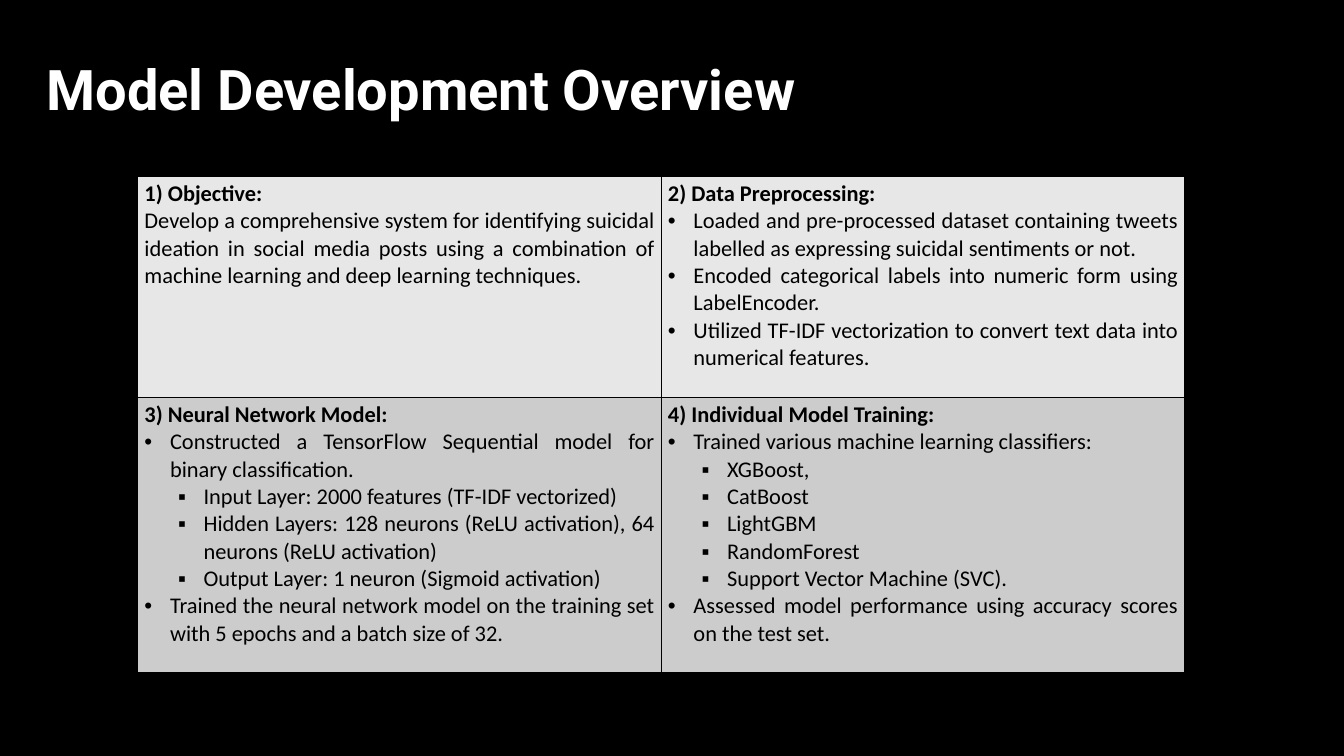
import pptx
import pptx.util
import pptx.dml.color
import pptx.enum.text
import pptx.oxml
import pptx.oxml.ns
from dataclasses import dataclass
from lxml import etree
from pptx.util import Inches


@dataclass(frozen=True)
class Theme:
    black: str = "000000"
    white: str = "FFFFFF"
    row_fills: tuple = ("E7E7E7", "CCCCCC")
    title_font: str = "Roboto"
    body_font: str = "Calibri"
    title_size: int = 60
    body_size: int = 24
    border_width: int = 1


theme = Theme()
rgb = pptx.dml.color.RGBColor.from_string
qn = pptx.oxml.ns.qn
PP_ALIGN = pptx.enum.text.PP_ALIGN


def format_run(r, font, size, color, bold):
    r.font.name = font
    r.font.size = pptx.util.Pt(size)
    r.font.color.rgb = rgb(color)
    r.font.bold = bold


def add_bullet(p, level):
    p.level = level
    pPr = p._p.get_or_add_pPr()
    pPr.set("marL", str(Inches(0.38 + 0.5 * level)))
    pPr.set("indent", str(Inches(-0.38)))
    etree.SubElement(pPr, qn("a:buFont"), typeface="Arial")
    etree.SubElement(pPr, qn("a:buChar"), char="•▪"[level])


sections = [
    [
        ("1) Objective:", [
            (None, "Develop a comprehensive system for identifying suicidal ideation in social media posts "
                   "using a combination of machine learning and deep learning techniques."),
        ]),
        ("2) Data Preprocessing:", [
            (0, "Loaded and pre-processed dataset containing tweets labelled as expressing suicidal sentiments or not."),
            (0, "Encoded categorical labels into numeric form using LabelEncoder."),
            (0, "Utilized TF-IDF vectorization to convert text data into numerical features."),
        ]),
    ],
    [
        ("3) Neural Network Model:", [
            (0, "Constructed a TensorFlow Sequential model for binary classification."),
            (1, "Input Layer: 2000 features (TF-IDF vectorized)"),
            (1, "Hidden Layers: 128 neurons (ReLU activation), 64 neurons (ReLU activation)"),
            (1, "Output Layer: 1 neuron (Sigmoid activation)"),
            (0, "Trained the neural network model on the training set with 5 epochs and a batch size of 32."),
        ]),
        ("4) Individual Model Training:", [
            (0, "Trained various machine learning classifiers:"),
            (1, "XGBoost,"),
            (1, "CatBoost"),
            (1, "LightGBM"),
            (1, "RandomForest"),
            (1, "Support Vector Machine (SVC)."),
            (0, "Assessed model performance using accuracy scores on the test set."),
        ]),
    ],
]

prs = pptx.Presentation()
prs.slide_width = Inches(20)
prs.slide_height = Inches(11.25)
s = prs.slides.add_slide(prs.slide_layouts[5])
s.background.fill.solid()
s.background.fill.fore_color.rgb = rgb(theme.black)

title = s.shapes.title
title.left, title.top = Inches(0.69), Inches(0.69)
title.width, title.height = Inches(15.75), Inches(1.14)
tf = title.text_frame
tf.margin_left = tf.margin_top = tf.margin_right = tf.margin_bottom = 0
tf.vertical_anchor = pptx.enum.text.MSO_ANCHOR.TOP
tf.auto_size = pptx.enum.text.MSO_AUTO_SIZE.SHAPE_TO_FIT_TEXT
tf.word_wrap = True
tf.text = "Model Development Overview"
p = tf.paragraphs[0]
p.alignment = PP_ALIGN.LEFT
p.line_spacing = pptx.util.Pt(81.2)
format_run(p.runs[0], theme.title_font, theme.title_size, theme.white, True)

table = s.shapes.add_table(2, 2, Inches(2.05), Inches(2.63), Inches(15.58), Inches(7.38)).table
table.first_row = False
table.horz_banding = False
for row, height in zip(table.rows, (3.29, 4.09)):
    row.height = Inches(height)

for row, fill, row_sections in zip(table.rows, theme.row_fills, sections):
    for cell, (heading, items) in zip(row.cells, row_sections):
        cell.fill.solid()
        cell.fill.fore_color.rgb = rgb(fill)
        tcPr = cell._tc.get_or_add_tcPr()
        for i, side in enumerate(("lnL", "lnR", "lnT", "lnB")):
            ln = etree.Element(qn(f"a:{side}"), w=str(pptx.util.Pt(theme.border_width)))
            line_fill = etree.SubElement(ln, qn("a:solidFill"))
            etree.SubElement(line_fill, qn("a:srgbClr"), val=theme.black)
            tcPr.insert(i, ln)

        tf = cell.text_frame
        tf.text = "\n".join([heading] + [text for level, text in items])
        levels = [None] + [level for level, text in items]
        for i, (p, level) in enumerate(zip(tf.paragraphs, levels)):
            p.alignment = PP_ALIGN.JUSTIFY
            if level is not None:
                add_bullet(p, level)
            format_run(p.runs[0], theme.body_font, theme.body_size, theme.black, i == 0)

prs.save("out.pptx")
